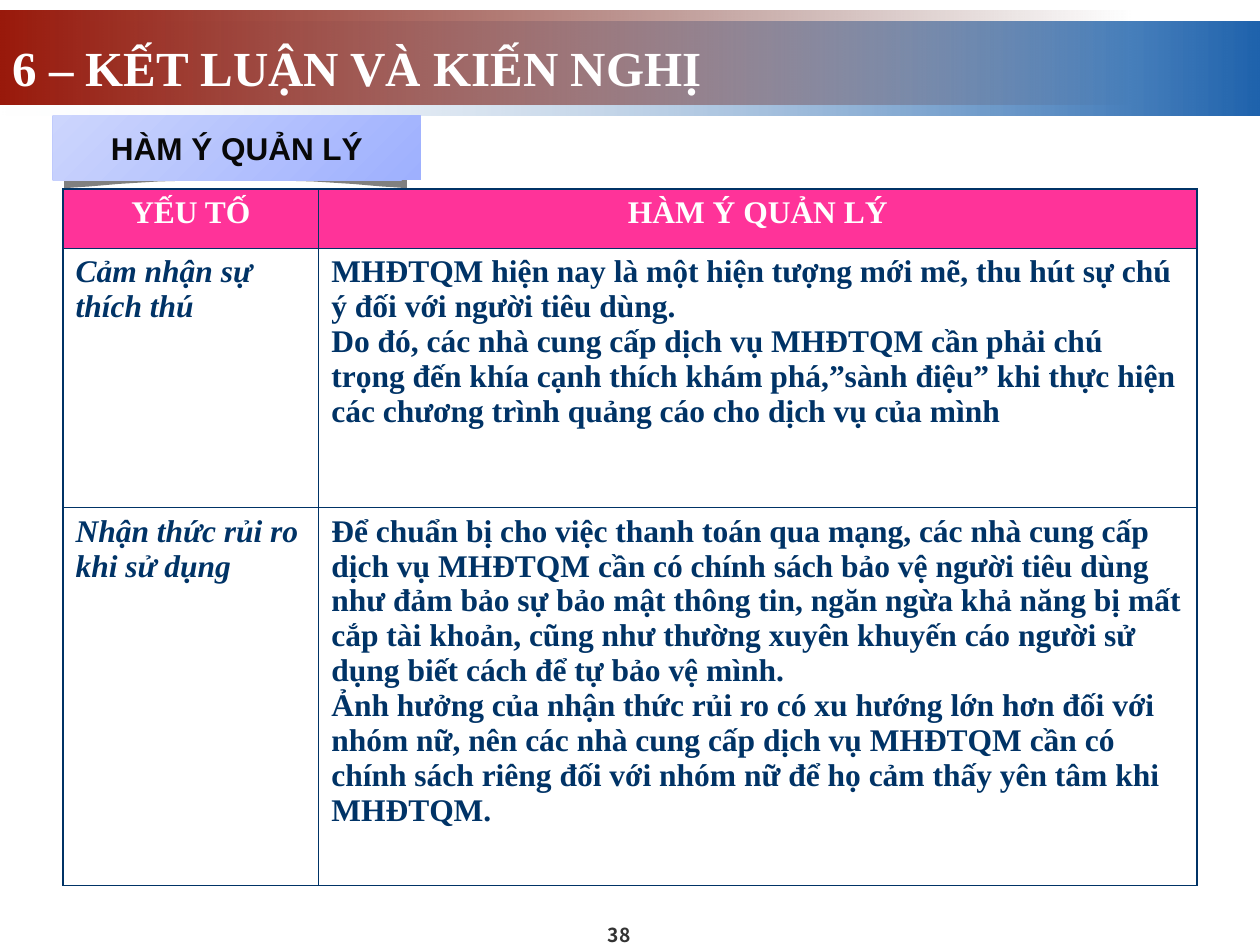
from dataclasses import dataclass

from lxml import etree
from pptx import Presentation
from pptx.dml.color import RGBColor
from pptx.enum import shapes, text
from pptx.oxml import ns
from pptx.util import Inches, Pt


@dataclass(frozen=True)
class Theme:
    blue: str = "1F63AD"
    pale_blue: str = "E2EAF3"
    dark_red: str = "460B05"
    red: str = "99190B"
    tag_dark: str = "9EB0FE"
    tag_light: str = "CCD5FD"
    shadow: str = "808080"
    tag_text: str = "080808"
    number: str = "333333"
    header: str = "FF3399"
    navy: str = "003366"
    white: str = "FFFFFF"
    serif: str = "Times New Roman"
    sans: str = "Arial"
    number_font: str = "Noto Sans CJK KR"
    title_size: int = 28
    body_size: int = 18
    number_size: int = 11
    outer_line: float = 0.96
    inner_line: float = 0.45


theme = Theme()


def add_gradient_box(box, colors, angle, clear_stop=None):
    """Add a borderless rectangle; clear_stop is the fully transparent stop."""
    shape = slide.shapes.add_shape(shapes.MSO_SHAPE.RECTANGLE, *map(Inches, box))
    shape.shadow.inherit = False
    shape.line.fill.background()
    shape.fill.gradient()
    shape.fill.gradient_angle = angle
    for stop, color in zip(shape.fill.gradient_stops, colors):
        stop.color.rgb = RGBColor.from_string(color)
    if clear_stop is not None:
        color_node = list(shape.element.spPr.iter(ns.qn("a:srgbClr")))[clear_stop]
        etree.SubElement(color_node, ns.qn("a:alpha"), val="0")
    return shape


def write(frame, lines, font_name, size, color, align=text.PP_ALIGN.LEFT, italic=False):
    """Fill a text frame with bold paragraphs in one style."""
    for index, line in enumerate(lines):
        paragraph = frame.add_paragraph() if index else frame.paragraphs[0]
        paragraph.text = line
        paragraph.alignment = align
        font = paragraph.font
        font.name, font.size = font_name, Pt(size)
        font.bold, font.italic = True, italic
        font.color.rgb = RGBColor.from_string(color)


presentation = Presentation()
presentation.slide_width, presentation.slide_height = Inches(10), Inches(7.5)
slide = presentation.slides.add_slide(presentation.slide_layouts[6])
center = text.PP_ALIGN.CENTER

# Title band: blue fading left, red fading right
add_gradient_box((0, 0.17, 10, 0.75), (theme.blue, theme.pale_blue), 180, clear_stop=1)
add_gradient_box((0, 0.08, 9, 0.75), (theme.dark_red, theme.red), 180, clear_stop=0)

# Slide number
number_box = slide.shapes.add_textbox(*map(Inches, (4.33, 7.34, 1.17, 0.16)))
frame = number_box.text_frame
frame.margin_left = frame.margin_right = frame.margin_top = frame.margin_bottom = 0
frame.vertical_anchor = text.MSO_ANCHOR.MIDDLE
frame.word_wrap = False
write(frame, ["38"], theme.number_font, theme.number_size, theme.number, center)

# Title
title = slide.shapes.add_textbox(*map(Inches, (0, 0.2, 10, 0.57)))
title.text_frame.word_wrap = True
title.text_frame.margin_top = Inches(0.1)
write(title.text_frame, ["6 – KẾT LUẬN VÀ KIẾN NGHỊ"], theme.serif, theme.title_size, theme.white)

# Curled shadow under the section tag, mirrored about its middle
middle = 1.87
left_half = [(middle, 1.25), (0.51, 1.31), (0.51, 1.5), (0.56, 1.49), (0.71, 1.48),
             (0.94, 1.46), (1.26, 1.44), (1.65, 1.43), (middle, 1.43)]
right_half = [(2 * middle - x, y) for x, y in reversed(left_half[1:-1])]
outline = [(Inches(x), Inches(y)) for x, y in left_half + right_half]
builder = slide.shapes.build_freeform(*outline[0])
builder.add_line_segments(outline[1:], close=True)
curl = builder.convert_to_shape()
curl.shadow.inherit = False
curl.fill.solid()
curl.fill.fore_color.rgb = RGBColor.from_string(theme.shadow)
curl.line.fill.background()

# Section tag
tag = add_gradient_box((0.42, 0.92, 2.92, 0.51), (theme.tag_dark, theme.tag_light), 135)
tag.text_frame.word_wrap = False
tag.text_frame.vertical_anchor = text.MSO_ANCHOR.MIDDLE
write(tag.text_frame, ["HÀM Ý QUẢN LÝ"], theme.sans, theme.body_size, theme.tag_text, center)
slide.shapes.add_group_shape([curl, tag])

# Table of factors and their implications
rows = [
    (["YẾU TỐ"], ["HÀM Ý QUẢN LÝ"]),
    (["Cảm nhận sự thích thú"],
     ["MHĐTQM hiện nay là một hiện tượng mới mẽ, thu hút sự chú ý đối với người tiêu dùng.",
      "Do đó, các nhà cung cấp dịch vụ MHĐTQM cần phải chú trọng đến khía cạnh thích khám "
      "phá,”sành điệu” khi thực hiện các chương trình quảng cáo cho dịch vụ của mình"]),
    (["Nhận thức rủi ro khi sử dụng"],
     ["Để chuẩn bị cho việc thanh toán qua mạng, các nhà cung cấp dịch vụ MHĐTQM cần có "
      "chính sách bảo vệ người tiêu dùng như đảm bảo sự bảo mật thông tin, ngăn ngừa khả "
      "năng bị mất cắp tài khoản, cũng như thường xuyên khuyến cáo người sử dụng biết cách "
      "để tự bảo vệ mình.",
      "Ảnh hưởng của nhận thức rủi ro có xu hướng lớn hơn đối với nhóm nữ, nên các nhà "
      "cung cấp dịch vụ MHĐTQM cần có chính sách riêng đối với nhóm nữ để họ cảm thấy yên "
      "tâm khi MHĐTQM."]),
]
widths, heights = (2.03, 6.97), (0.47, 2.06, 3)
table = slide.shapes.add_table(
    len(rows), len(widths), *map(Inches, (0.5, 1.5, sum(widths), sum(heights)))).table
for column, width in zip(table.columns, widths):
    column.width = Inches(width)
for row, height in zip(table.rows, heights):
    row.height = Inches(height)

for r, row in enumerate(rows):
    for c, lines in enumerate(row):
        cell = table.cell(r, c)
        is_header = r == 0
        write(cell.text_frame, lines, theme.serif, theme.body_size,
              theme.white if is_header else theme.navy,
              center if is_header else text.PP_ALIGN.LEFT,
              italic=c == 0 and not is_header)

        # Borders precede the fill: heavier around the table, thin inside
        properties = cell._tc.get_or_add_tcPr()
        on_edge = {"L": c == 0, "R": c == len(widths) - 1, "T": r == 0, "B": r == len(rows) - 1}
        for side, outer in on_edge.items():
            width = theme.outer_line if outer else theme.inner_line
            border = etree.SubElement(properties, ns.qn(f"a:ln{side}"), w=str(Pt(width)))
            line_fill = etree.SubElement(border, ns.qn("a:solidFill"))
            etree.SubElement(line_fill, ns.qn("a:srgbClr"), val=theme.navy)
        if is_header:
            cell.fill.solid()
            cell.fill.fore_color.rgb = RGBColor.from_string(theme.header)
        else:
            cell.fill.background()

presentation.save("out.pptx")
